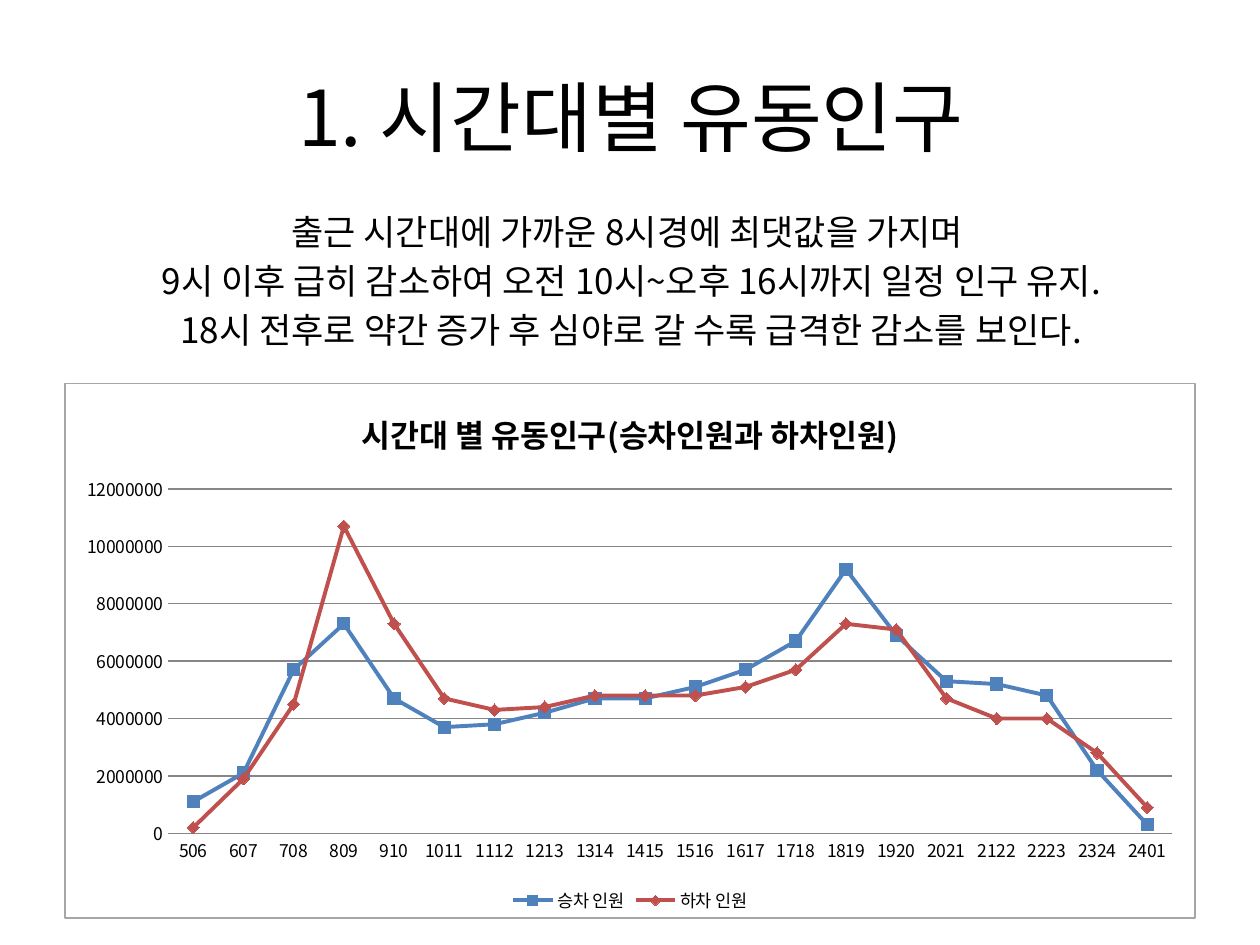
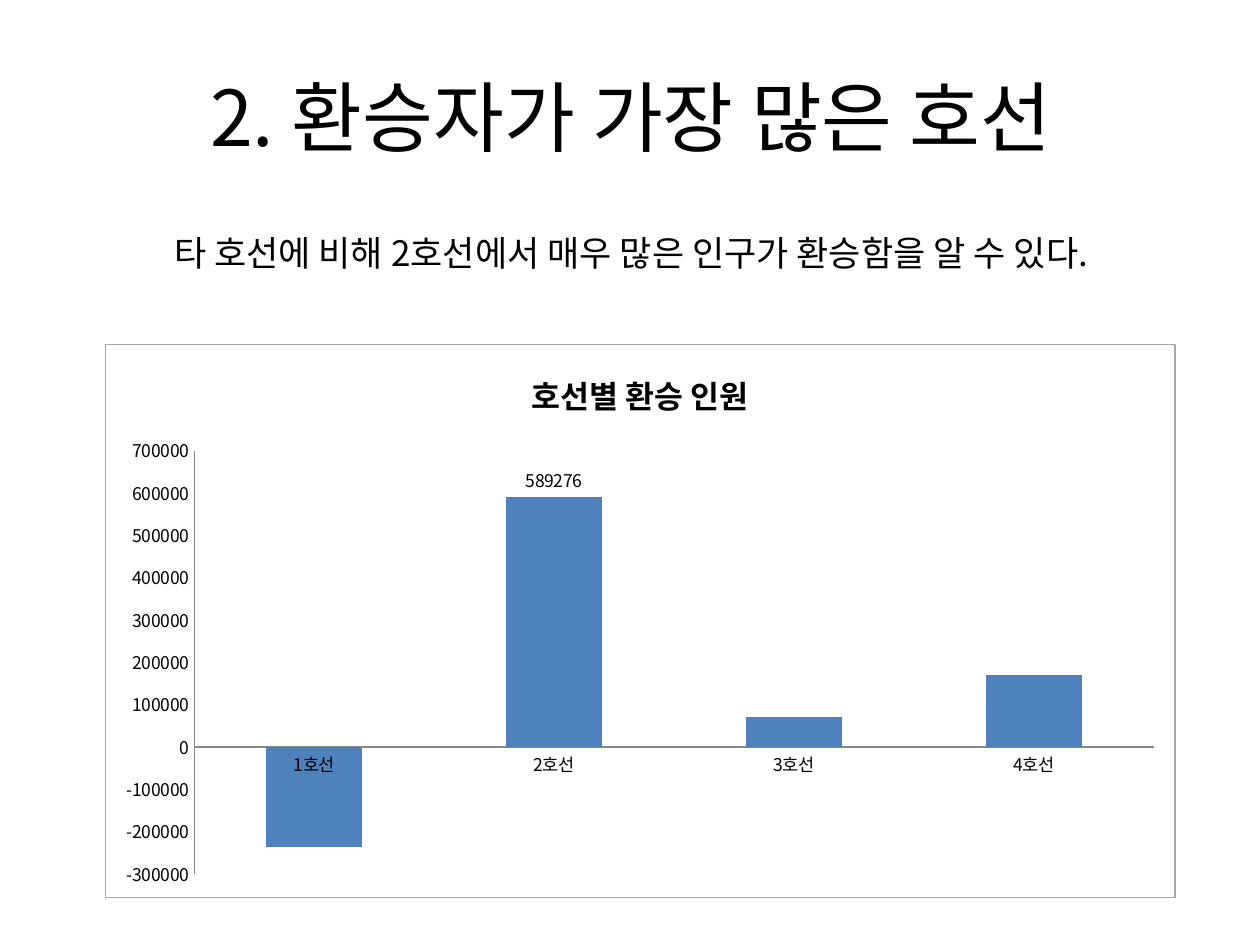
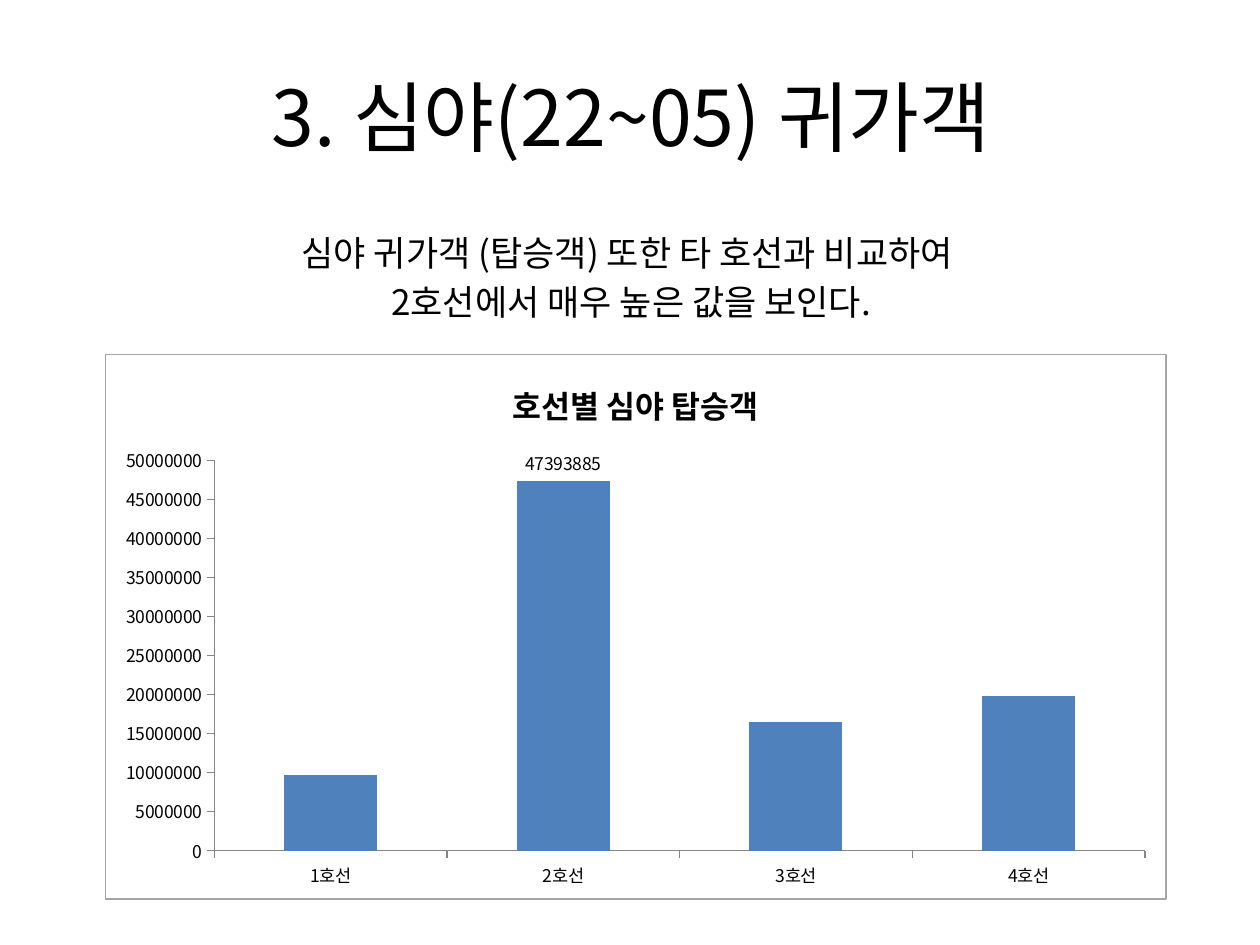
from lxml import etree
from pptx import Presentation
from pptx.chart.data import CategoryChartData
from pptx.dml.color import RGBColor
from pptx.enum.chart import (XL_CHART_TYPE, XL_LABEL_POSITION, XL_LEGEND_POSITION,
                             XL_MARKER_STYLE, XL_TICK_MARK)
from pptx.enum.text import MSO_ANCHOR, PP_ALIGN
from pptx.oxml import parse_xml
from pptx.oxml.ns import nsdecls, qn
from pptx.util import Inches, Pt

LINE, COLUMN = XL_CHART_TYPE.LINE_MARKERS, XL_CHART_TYPE.COLUMN_CLUSTERED
TICK_NONE, TICK_OUT = XL_TICK_MARK.NONE, XL_TICK_MARK.OUTSIDE
MARKERS = (XL_MARKER_STYLE.SQUARE, XL_MARKER_STYLE.DIAMOND)
OUTSIDE_END, LEGEND_BOTTOM = XL_LABEL_POSITION.OUTSIDE_END, XL_LEGEND_POSITION.BOTTOM
CENTER, MIDDLE, TOP = PP_ALIGN.CENTER, MSO_ANCHOR.MIDDLE, MSO_ANCHOR.TOP

FONT = "Noto Sans CJK KR"
BLACK, AXIS_GRAY, BORDER_GRAY = "000000", "868686", "A6A6A6"
SERIES_COLORS = ("4F81BD", "C0504D")
TITLE_BOX = (0.51, 0.29, 9, 1.25)
BODY_LEFT, BODY_WIDTH, BODY_HEIGHT = 0.51, 9, 4.95

HOURS = ["506", "607", "708", "809", "910", "1011", "1112", "1213", "1314", "1415",
         "1516", "1617", "1718", "1819", "1920", "2021", "2122", "2223", "2324", "2401"]
SUBWAY_LINES = ["1호선", "2호선", "3호선", "4호선"]
BUSIEST_LINE = 1

SLIDES = [
    dict(title="1. 시간대별 유동인구",
         body=["출근 시간대에 가까운 8시경에 최댓값을 가지며 ",
               "9시 이후 급히 감소하여 오전 10시~오후 16시까지 일정 인구 유지.",
               "18시 전후로 약간 증가 후 심야로 갈 수록 급격한 감소를 보인다."],
         body_top=1.62, chart_type=LINE, chart_box=(0.51, 3.04, 8.98, 4.25),
         chart_title="시간대 별 유동인구(승차인원과 하차인원)",
         tick=TICK_NONE, categories=HOURS,
         series={
             "승차 인원": [1100000, 2100000, 5700000, 7300000, 4700000, 3700000, 3800000,
                       4200000, 4700000, 4700000, 5100000, 5700000, 6700000, 9200000,
                       6900000, 5300000, 5200000, 4800000, 2200000, 300000],
             "하차 인원": [200000, 1900000, 4500000, 10700000, 7300000, 4700000, 4300000,
                       4400000, 4800000, 4800000, 4800000, 5100000, 5700000, 7300000,
                       7100000, 4700000, 4000000, 4000000, 2800000, 900000]}),
    dict(title="2. 환승자가 가장 많은 호선",
         body=["타 호선에 비해 2호선에서 매우 많은 인구가 환승함을 알 수 있다."],
         body_top=1.79, chart_type=COLUMN, chart_box=(0.83, 2.73, 8.5, 4.4),
         chart_title="호선별 환승 인원", tick=TICK_NONE, categories=SUBWAY_LINES,
         series={"Series 1": [-236088, 589276, 71068, 171007]}),
    dict(title="3. 심야(22~05) 귀가객",
         body=["심야 귀가객 (탑승객) 또한 타 호선과 비교하여 ",
               "2호선에서 매우 높은 값을 보인다."],
         body_top=1.79, chart_type=COLUMN, chart_box=(0.83, 2.81, 8.43, 4.33),
         chart_title="호선별 심야 탑승객", tick=TICK_OUT, categories=SUBWAY_LINES,
         series={"Series 1": [9666934, 47393885, 16484269, 19851059]}),
]


def rgb(color):
    return RGBColor.from_string(color)


def style_font(font, size, bold=False):
    font.name, font.size, font.bold = FONT, Pt(size), bold
    font.color.rgb = rgb(BLACK)
    # East Asian glyphs take their typeface from a:ea, right after a:latin
    east_asian = etree.Element(qn("a:ea"), typeface=FONT)
    font._element.find(qn("a:latin")).addnext(east_asian)


def style_line(line, color, width=0.75):
    line.color.rgb = rgb(color)
    line.width = Pt(width)


def write(frame, paragraphs, size, bold=False):
    """Fill a text frame with centred, unbulleted paragraphs."""
    frame.text = "\n".join(paragraphs)
    for paragraph in frame.paragraphs:
        paragraph.alignment = CENTER
        properties = paragraph._p.get_or_add_pPr()
        properties.set("marL", "0")
        properties.set("indent", "0")
        etree.SubElement(properties, qn("a:buNone"))
        style_font(paragraph.runs[0].font, size, bold)


def fill_placeholder(placeholder, paragraphs, box, size, anchor):
    (placeholder.left, placeholder.top,
     placeholder.width, placeholder.height) = map(Inches, box)
    placeholder.text_frame.vertical_anchor = anchor
    write(placeholder.text_frame, paragraphs, size)


def add_border(chart):
    chart._chartSpace.find(qn("c:chart")).addnext(parse_xml(
        f'<c:spPr {nsdecls("c", "a")}><a:solidFill><a:srgbClr val="FFFFFF"/></a:solidFill>'
        f'<a:ln w="{Pt(0.75)}"><a:solidFill><a:srgbClr val="{BORDER_GRAY}"/></a:solidFill>'
        '</a:ln></c:spPr>'))


def style_line_series(chart):
    for series, color, marker in zip(chart.plots[0].series, SERIES_COLORS, MARKERS):
        series.smooth = False
        style_line(series.format.line, color, 2.25)
        series.marker.style, series.marker.size = marker, 7
        series.marker.format.fill.solid()
        series.marker.format.fill.fore_color.rgb = rgb(color)
        style_line(series.marker.format.line, color)


def style_columns(chart):
    plot = chart.plots[0]
    plot.gap_width = 150
    series = plot.series[0]
    series.invert_if_negative = False
    series.format.fill.solid()
    series.format.fill.fore_color.rgb = rgb(SERIES_COLORS[0])
    series.data_labels.show_value = False
    series.points[BUSIEST_LINE].data_label.position = OUTSIDE_END


def add_passenger_chart(slide, content):
    data = CategoryChartData()
    data.categories = content["categories"]
    for name, passengers in content["series"].items():
        data.add_series(name, passengers)
    chart = slide.shapes.add_chart(content["chart_type"],
                                   *map(Inches, content["chart_box"]), data).chart
    style_font(chart.font, 10)
    add_border(chart)
    chart.has_title = True
    write(chart.chart_title.text_frame, [content["chart_title"]], 18, bold=True)
    chart.chart_title.include_in_layout = False
    chart.plots[0].vary_by_categories = False

    is_line = content["chart_type"] == LINE
    for axis in (chart.category_axis, chart.value_axis):
        axis.major_tick_mark, axis.minor_tick_mark = content["tick"], TICK_NONE
        axis.has_major_gridlines = False
        style_line(axis.format.line, AXIS_GRAY)
    chart.has_legend = is_line
    if is_line:
        chart.legend.position = LEGEND_BOTTOM
        chart.legend.include_in_layout = False
        chart.value_axis.format.line.fill.background()
        style_line(chart.value_axis.major_gridlines.format.line, AXIS_GRAY)
        style_line_series(chart)
    else:
        style_columns(chart)


def main():
    deck = Presentation()
    deck.slide_width, deck.slide_height = Inches(10), Inches(7.5)
    for content in SLIDES:
        slide = deck.slides.add_slide(deck.slide_layouts[1])
        fill_placeholder(slide.shapes.title, [content["title"]], TITLE_BOX, 44, MIDDLE)
        body_box = (BODY_LEFT, content["body_top"], BODY_WIDTH, BODY_HEIGHT)
        fill_placeholder(slide.placeholders[1], content["body"], body_box, 20, TOP)
        add_passenger_chart(slide, content)
    deck.save("out.pptx")


if __name__ == "__main__":
    main()
